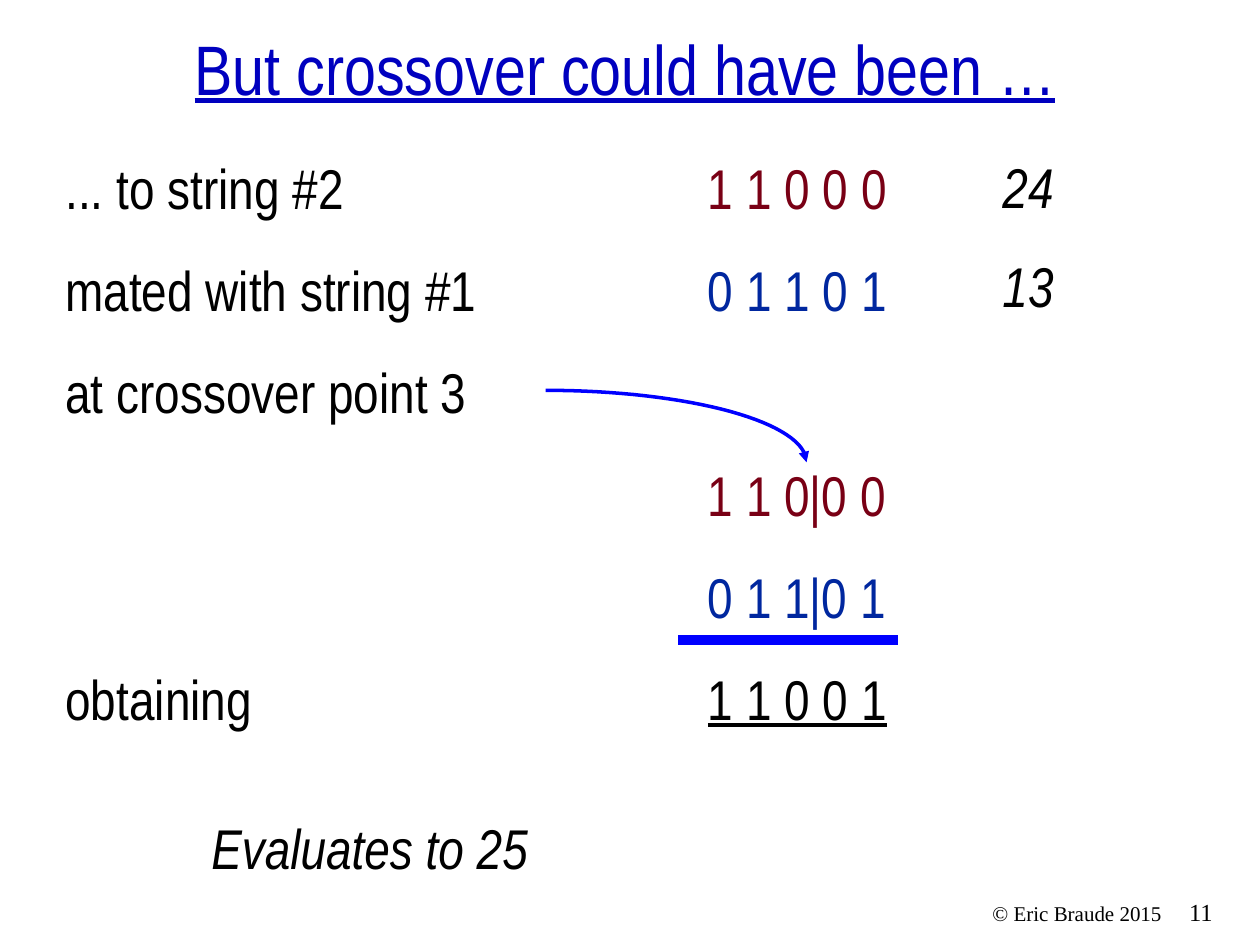
import math
from dataclasses import dataclass

import pptx
import pptx.dml.color
import pptx.enum.shapes
import pptx.enum.text
import pptx.oxml.ns
import pptx.util
from lxml import etree
from pptx.util import Cm, Pt

Align = pptx.enum.text.PP_ALIGN


def rgb(code):
    return pptx.dml.color.RGBColor.from_string(code)


@dataclass(frozen=True)
class Theme:
    sans: str = "Arial Narrow"
    serif: str = "Times New Roman"
    black = rgb("000000")
    title = rgb("0000BF")
    red = rgb("790015")
    blue = rgb("00279F")
    line = rgb("0000FF")
    head = Pt(40)
    body = Pt(32)
    page = Pt(14)
    note = Pt(12)
    gap = Pt(20)


THEME = Theme()


def add_xml(node, tag, **attrs):
    return etree.SubElement(node, pptx.oxml.ns.qn(tag), **attrs)


def style(para, size, face=THEME.sans, color=THEME.black, italic=False):
    font = para.font
    font.name, font.size, font.italic = face, size, italic
    font.color.rgb = color


def add_box(slide, left, top, width, height):
    box = slide.shapes.add_textbox(Cm(left), Cm(top), Cm(width), Cm(height))
    box.text_frame.word_wrap = True
    return box.text_frame


def add_label(slide, text, place, size=THEME.body, face=THEME.sans,
              italic=False, align=Align.LEFT):
    para = add_box(slide, *place).paragraphs[0]
    para.text = text
    para.alignment = align
    style(para, size, face, italic=italic)


def add_title(slide, text):
    title = slide.shapes.title
    title.left, title.top = Cm(0), Cm(0.96)
    title.width, title.height = Cm(25.2), Cm(1.37)
    frame = title.text_frame
    frame.auto_size = pptx.enum.text.MSO_AUTO_SIZE.NONE
    frame.vertical_anchor = pptx.enum.text.MSO_ANCHOR.BOTTOM
    para = frame.paragraphs[0]
    para.text = text
    para.alignment = Align.CENTER
    style(para, THEME.head, color=THEME.title)
    para.font.underline = True


def add_rows(slide, rows):
    """Each row is a step and, at one tab stop, its bit string."""
    frame = add_box(slide, 1.07, 2.97, 23.06, 11.91)
    for i, (step, bits, color, under) in enumerate(rows):
        para = frame.add_paragraph() if i else frame.paragraphs[0]
        if i:
            para.space_before = THEME.gap
        tabs = add_xml(para._p.get_or_add_pPr(), "a:tabLst")
        add_xml(tabs, "a:tab", pos=str(Cm(12.95)), algn="l")
        style(para, THEME.body)
        para.add_run().text = step + "\t" if bits else step
        if bits:
            run = para.add_run()
            run.text = bits
            run.font.color.rgb = color
            if under:
                run.font.underline = True


def add_arrow(slide, left, top, width, height, steps=32):
    """Quarter ellipse running right and then down."""
    turns = [math.pi / 2 * i / steps for i in range(steps + 1)]
    dots = [(Cm(left + width * math.sin(t)),
             Cm(top + height * (1 - math.cos(t)))) for t in turns]
    path = slide.shapes.build_freeform(*dots[0])
    path.add_line_segments(dots[1:], close=False)
    curve = path.convert_to_shape()
    curve.shadow.inherit = False
    curve.fill.background()
    curve.line.color.rgb = THEME.line
    curve.line.width = Pt(2)
    add_xml(curve.line._get_or_add_ln(), "a:tailEnd", type="triangle")


def add_rule(slide, left, right, top):
    rule = slide.shapes.add_connector(
        pptx.enum.shapes.MSO_CONNECTOR.STRAIGHT,
        Cm(left), Cm(top), Cm(right), Cm(top))
    rule.line.color.rgb = THEME.line
    rule.line.width = Pt(6)
    add_xml(rule._element.spPr, "a:effectLst")


def main():
    deck = pptx.Presentation()
    deck.slide_width, deck.slide_height = Cm(25.4), Cm(19.05)
    slide = deck.slides.add_slide(deck.slide_layouts[5])

    # Footer
    add_label(slide, "11", (23.72, 17.96, 1.47, 0.84), THEME.page,
              THEME.serif)
    add_label(slide, "© Eric Braude 2015", (16.89, 18.03, 6.78, 0.76),
              THEME.note, THEME.serif, align=Align.RIGHT)

    # Title and steps
    add_title(slide, "But crossover could have been …")
    add_rows(slide, [
        ("... to string #2", "1 1 0 0 0", THEME.red, False),
        ("mated with string #1", "0 1 1 0 1", THEME.blue, False),
        ("at crossover point 3", "", None, False),
        ("", "1 1 0|0 0", THEME.red, False),
        ("", "0 1 1|0 1", THEME.blue, False),
        ("obtaining", "1 1 0 0 1", THEME.black, True),
    ])

    # Crossover arrow and sum line
    add_arrow(slide, 11, 7.87, 5.26, 1.45)
    add_rule(slide, 13.67, 18.11, 12.9)

    # Values of the strings
    add_label(slide, "Evaluates to 25", (4.01, 16.28, 7.2, 1.63), italic=True)
    for text, top in (("24", 2.95), ("13", 4.95)):
        add_label(slide, text, (19.96, top, 1.8, 1.63), italic=True)

    deck.save("out.pptx")


if __name__ == "__main__":
    main()
